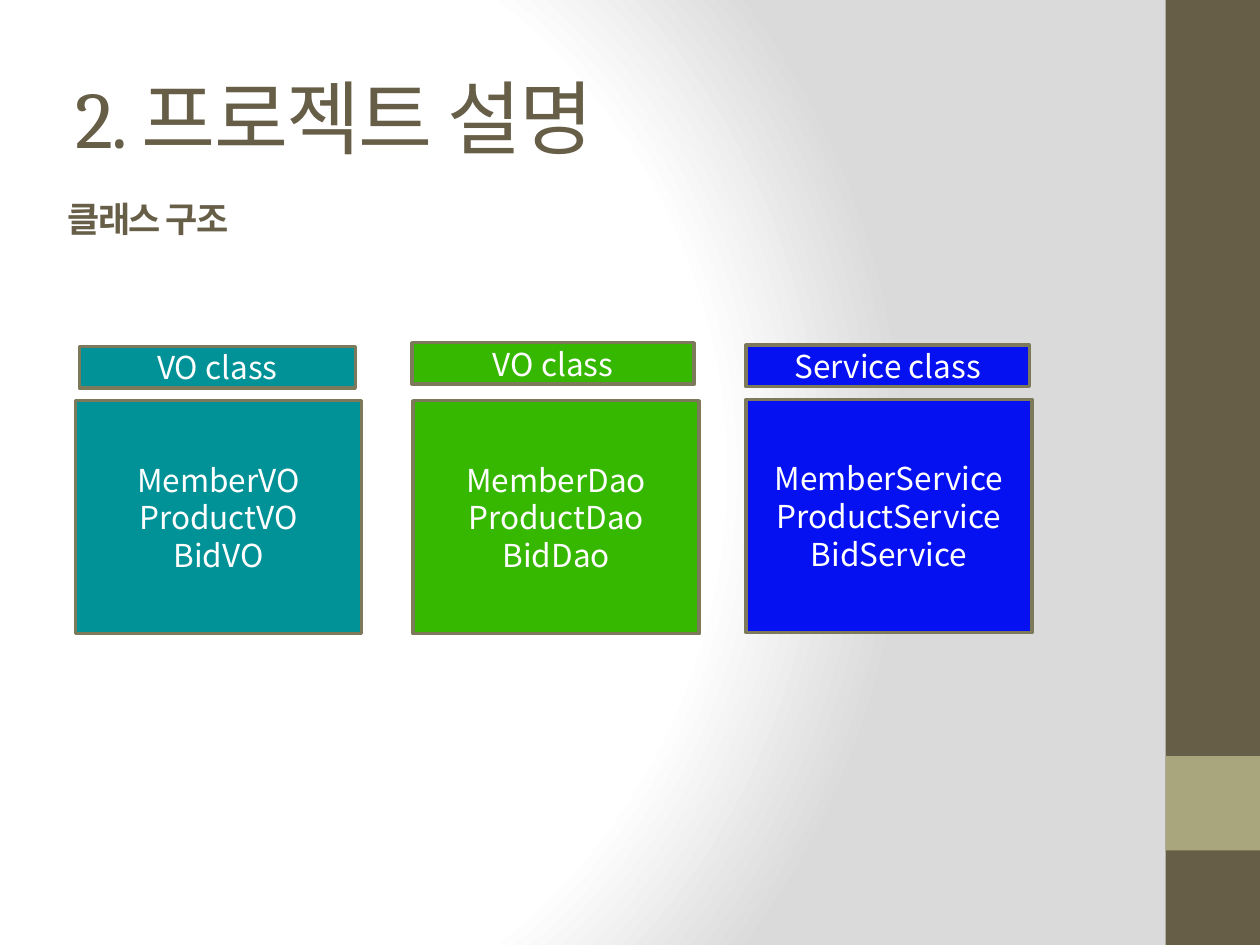
import pptx
import pptx.dml.color
import pptx.enum.shapes
import pptx.enum.text
import pptx.oxml
import pptx.oxml.ns
import pptx.util
from lxml import etree

Inches = pptx.util.Inches
Pt = pptx.util.Pt
qn = pptx.oxml.ns.qn

SANS, SERIF = "Noto Sans CJK KR", "Cambria"
BROWN, OLIVE, BORDER, WHITE = "675E47", "A9A57C", "7D7A5C", "FFFFFF"
TITLE = [("2. ", SERIF), ("프로젝트 설명", SANS)]
SUBTITLE = "클래스 구조"
SIDEBAR = [(0, 7.5, BROWN), (6, 0.75, OLIVE)]
GROUPS = [
    {"head": "VO class", "classes": ["MemberVO", "ProductVO", "BidVO"], "color": "009297",
     "head_at": (0.63, 2.75, 2.19, 0.33), "body_at": (0.6, 3.18, 2.27, 1.85)},
    {"head": "VO class", "classes": ["MemberDao", "ProductDao", "BidDao"], "color": "36B700",
     "head_at": (3.27, 2.72, 2.24, 0.33), "body_at": (3.28, 3.18, 2.27, 1.85)},
    {"head": "Service class", "classes": ["MemberService", "ProductService", "BidService"],
     "color": "0611F2",
     "head_at": (5.92, 2.74, 2.25, 0.33), "body_at": (5.92, 3.17, 2.27, 1.85)},
]
GRADIENT = [(0, WHITE), (75, WHITE), (100, "DADADA")]


def rgb(color):
    return pptx.dml.color.RGBColor.from_string(color)


def set_background(slide):
    slide.background.fill.solid()
    solid = slide.element.find(".//" + qn("p:bgPr")).find(qn("a:solidFill"))
    stops = "".join(f'<a:gs pos="{pos * 1000}"><a:srgbClr val="{color}"/></a:gs>'
                    for pos, color in GRADIENT)
    grad = pptx.oxml.parse_xml(
        f'<a:gradFill {pptx.oxml.ns.nsdecls("a")} rotWithShape="1"><a:gsLst>{stops}</a:gsLst>'
        '<a:path path="circle"><a:fillToRect l="20000" t="50000" r="100000" b="50000"/>'
        '</a:path></a:gradFill>')
    solid.getparent().replace(solid, grad)


def add_run(p, text, font, spacing=None):
    r = p.add_run()
    r.text = text
    r.font.name = font
    rpr = r.font._element if hasattr(r.font, "_element") else r._r.get_or_add_rPr()
    etree.SubElement(rpr, qn("a:ea")).set("typeface", font)
    if spacing is not None:
        rpr.set("spc", str(spacing * 100))


def style(p, size, color, align, bold=False):
    p.alignment = align
    p.font.size = Pt(size)
    p.font.bold = bold
    p.font.color.rgb = rgb(color)


def add_rect(slide, at, color, lines=(), border=None):
    sp = slide.shapes.add_shape(pptx.enum.shapes.MSO_SHAPE.RECTANGLE, *map(Inches, at))
    sp.shadow.inherit = False
    sp.fill.solid()
    sp.fill.fore_color.rgb = rgb(color)
    if border:
        sp.line.color.rgb = rgb(border)
        sp.line.width = Pt(2)
    else:
        sp.line.fill.background()
    tf = sp.text_frame
    tf.vertical_anchor = pptx.enum.text.MSO_ANCHOR.MIDDLE
    for i, line in enumerate(lines):
        p = tf.add_paragraph() if i else tf.paragraphs[0]
        style(p, 18, WHITE, pptx.enum.text.PP_ALIGN.CENTER)
        add_run(p, line, SANS)


def fill_heading(sp, runs, size, bold=False):
    tf = sp.text_frame
    tf.word_wrap = True
    tf.vertical_anchor = pptx.enum.text.MSO_ANCHOR.MIDDLE
    p = tf.paragraphs[0]
    style(p, size, BROWN, pptx.enum.text.PP_ALIGN.LEFT, bold)
    for text, font in runs:
        add_run(p, text, font, spacing=-1)


def main():
    prs = pptx.Presentation()
    prs.slide_width, prs.slide_height = Inches(10), Inches(7.5)
    slide = prs.slides.add_slide(prs.slide_layouts[5])
    set_background(slide)

    for top, height, color in SIDEBAR:
        add_rect(slide, (9.25, top, 0.75, height), color)

    title = slide.shapes.title
    title.left, title.top, title.width, title.height = map(Inches, (0.5, 0.3, 8.33, 1.25))
    fill_heading(title, TITLE, 46)
    subtitle = slide.shapes.add_textbox(*map(Inches, (0.44, 1.37, 1.95, 0.73)))
    fill_heading(subtitle, [(SUBTITLE, SANS)], 20, bold=True)

    for group in GROUPS:
        add_rect(slide, group["body_at"], group["color"], group["classes"], BORDER)
        add_rect(slide, group["head_at"], group["color"], [group["head"]], BORDER)

    prs.save("out.pptx")


if __name__ == "__main__":
    main()
